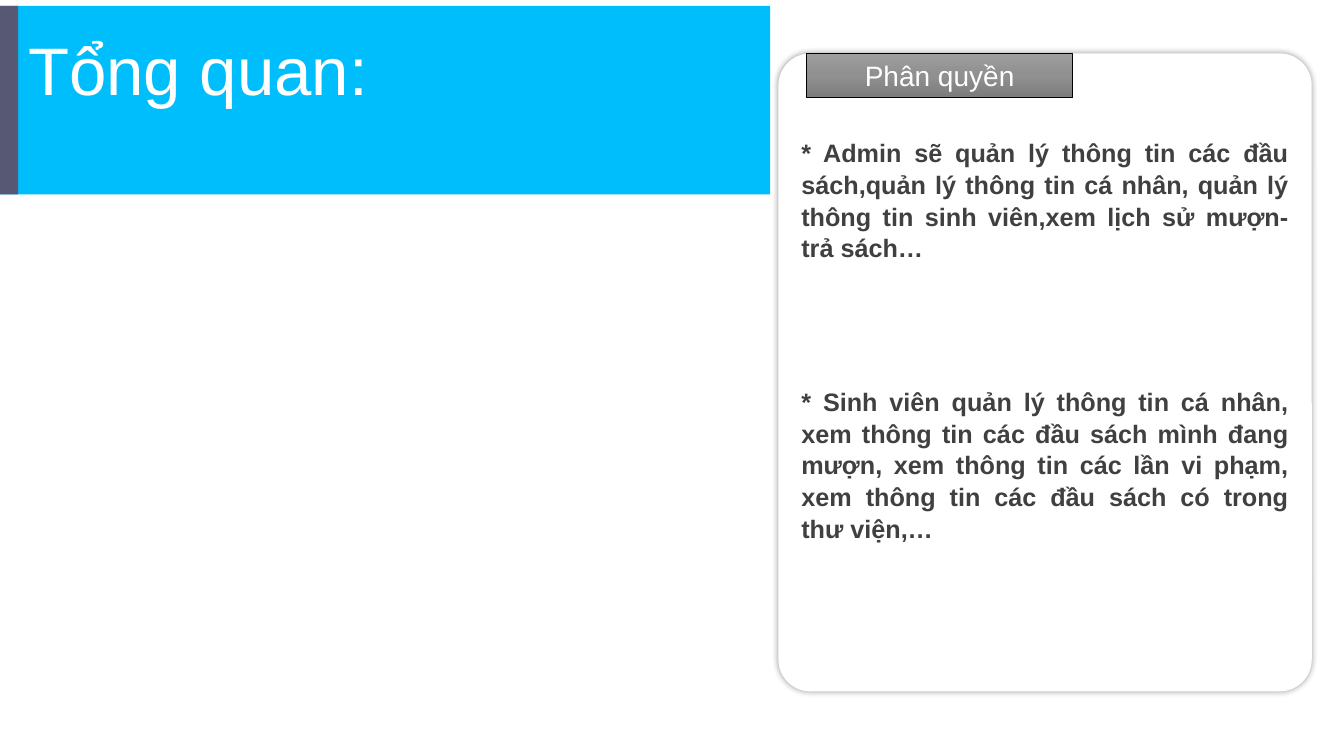
from dataclasses import dataclass
from typing import Optional

from lxml import etree
from pptx import Presentation
from pptx.dml.color import RGBColor
from pptx.enum.shapes import MSO_SHAPE
from pptx.enum.text import MSO_ANCHOR, MSO_AUTO_SIZE, PP_ALIGN
from pptx.oxml import parse_xml
from pptx.oxml.ns import qn
from pptx.util import Pt

PX = 9144  # 100 px to the inch
RECTANGLE, ROUNDED = MSO_SHAPE.RECTANGLE, MSO_SHAPE.ROUNDED_RECTANGLE
LEFT, CENTER, JUSTIFY = PP_ALIGN.LEFT, PP_ALIGN.CENTER, PP_ALIGN.JUSTIFY
TOP, MIDDLE = MSO_ANCHOR.TOP, MSO_ANCHOR.MIDDLE
GROW = MSO_AUTO_SIZE.SHAPE_TO_FIT_TEXT
DRAWING_NS = "http://schemas.openxmlformats.org/drawingml/2006/main"


@dataclass(frozen=True)
class Theme:
    font: str = "Arial"
    banner: str = "00BDFB"
    accent: str = "565874"
    white: str = "FFFFFF"
    body: str = "404040"
    black: str = "000000"
    label_stops: tuple = ((0, "9D9D9D"), (50, "909090"), (100, "7C7C7C"))
    title_size: int = 48
    label_size: int = 20
    body_size: int = 18


THEME = Theme()


@dataclass(frozen=True)
class Box:
    left: int
    top: int
    width: int
    height: int

    def emu(self) -> tuple:
        return tuple(PX * n for n in (self.left, self.top, self.width, self.height))


@dataclass(frozen=True)
class Panel:
    box: Box
    fill: str


BANNER_PANELS = (
    Panel(Box(0, 6, 764, 187), THEME.banner),
    Panel(Box(0, 6, 18, 187), THEME.accent),
)
TITLE_BOX = Box(18, 23, 694, 91)
CARD = Panel(Box(772, 53, 529, 633), THEME.white)
ROLES_BOX = Box(785, 130, 503, 404)
LABEL_BOX = Box(800, 53, 264, 44)
ROLES = (
    "* Admin sẽ quản lý thông tin các đầu sách,quản lý thông tin cá nhân, "
    "quản lý thông tin sinh viên,xem lịch sử mượn-trả sách…",
    "* Sinh viên quản lý thông tin cá nhân, xem thông tin các đầu sách mình đang mượn, "
    "xem thông tin các lần vi phạm, xem thông tin các đầu sách có trong thư viện,…",
)


def add_panel(shapes, panel: Panel, kind=RECTANGLE):
    shape = shapes.add_shape(kind, *panel.box.emu())
    shape.shadow.inherit = False
    shape.fill.solid()
    shape.fill.fore_color.rgb = RGBColor.from_string(panel.fill)
    shape.line.fill.background()
    return shape


def write_text(shape, *texts: str, size: int, color: str, bold: bool = False,
               align=LEFT, anchor=TOP, gap: int = 0,
               line_spacing: Optional[float] = None) -> None:
    """Write one paragraph per text, with gap points between them."""
    frame = shape.text_frame
    frame.word_wrap = True
    frame.auto_size = GROW
    frame.vertical_anchor = anchor
    for index, text in enumerate(texts):
        paragraph = frame.add_paragraph() if index else frame.paragraphs[0]
        paragraph.alignment = align
        paragraph.line_spacing = line_spacing
        if index:
            paragraph.space_before = Pt(gap)
        run = paragraph.add_run()
        run.text = text
        run.font.name = THEME.font
        run.font.size = Pt(size)
        run.font.bold = bold
        run.font.color.rgb = RGBColor.from_string(color)


def add_glow_shadow(shape, color: str, opacity: int, blur: int) -> None:
    """Add an outer shadow that spreads evenly on all sides."""
    effects = shape._element.spPr.find(qn("a:effectLst"))
    shadow = etree.SubElement(effects, qn("a:outerShdw"), blurRad=str(Pt(blur)),
                              dist="0", dir="0", algn="ctr", rotWithShape="0")
    shade = etree.SubElement(shadow, qn("a:srgbClr"), val=color)
    etree.SubElement(shade, qn("a:alpha"), val=str(opacity * 1000))


def fill_gradient(shape, stops: tuple) -> None:
    """Fill from top to bottom with (percent, colour) stops."""
    shape.fill.gradient()
    shape.fill.gradient_angle = 270
    stop_list = shape._element.spPr.find(qn("a:gradFill")).find(qn("a:gsLst"))
    for old_stop in list(stop_list):
        stop_list.remove(old_stop)
    for percent, color in stops:
        stop_list.append(parse_xml(
            f'<a:gs xmlns:a="{DRAWING_NS}" pos="{percent * 1000}">'
            f'<a:srgbClr val="{color}"/></a:gs>'))


def add_banner(slide) -> None:
    group = slide.shapes.add_group_shape()
    for panel in BANNER_PANELS:
        add_panel(group.shapes, panel)
    title = slide.shapes.add_textbox(*TITLE_BOX.emu())
    write_text(title, "Tổng quan:", size=THEME.title_size, color=THEME.white,
               anchor=MIDDLE)


def add_roles_card(slide) -> None:
    card = add_panel(slide.shapes, CARD, ROUNDED)
    card.adjustments[0] = 0.06
    add_glow_shadow(card, THEME.black, opacity=40, blur=5)

    roles = slide.shapes.add_textbox(*ROLES_BOX.emu())
    write_text(roles, *ROLES, size=THEME.body_size, color=THEME.body, bold=True,
               align=JUSTIFY, gap=87, line_spacing=1.05)

    label = add_panel(slide.shapes, Panel(LABEL_BOX, THEME.white))
    fill_gradient(label, THEME.label_stops)
    label.line.color.rgb = RGBColor.from_string(THEME.black)
    label.line.width = Pt(0.5)
    write_text(label, "Phân quyền", size=THEME.label_size, color=THEME.white,
               align=CENTER)


def main() -> None:
    presentation = Presentation()
    presentation.slide_width = 1333 * PX
    presentation.slide_height = 750 * PX
    slide = presentation.slides.add_slide(presentation.slide_layouts[6])
    add_banner(slide)
    add_roles_card(slide)
    presentation.save("out.pptx")


if __name__ == "__main__":
    main()
